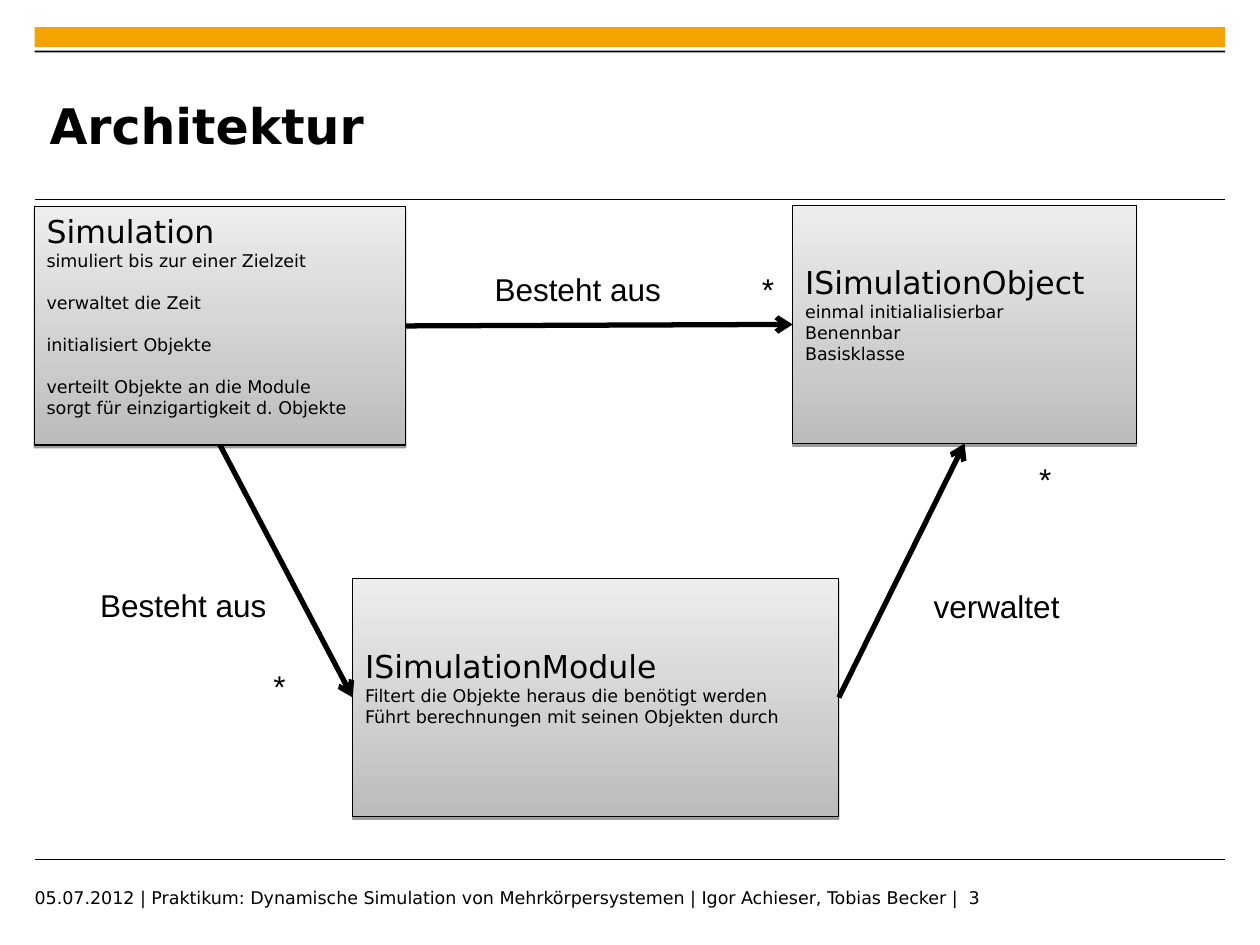
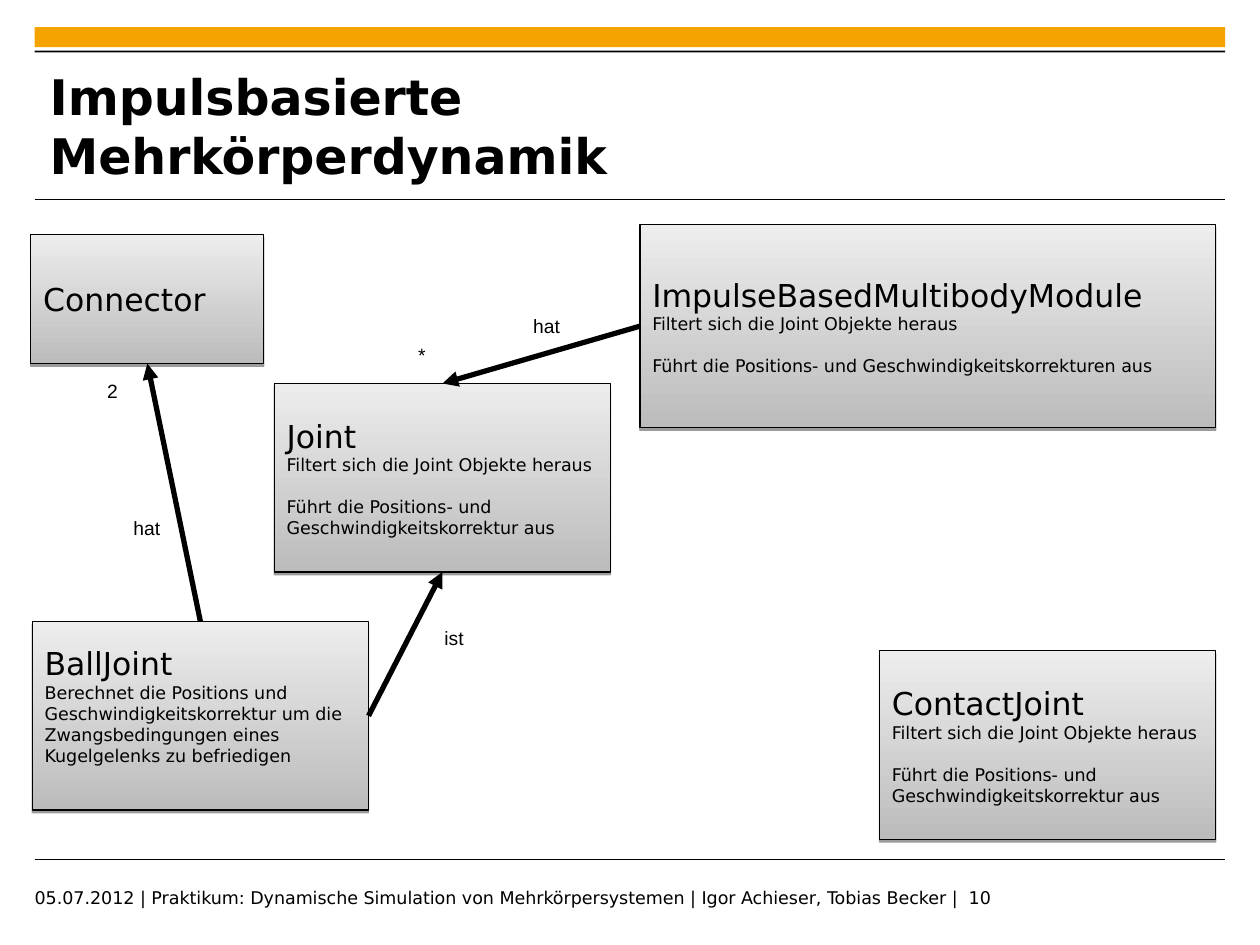
from lxml.etree import SubElement
from pptx import Presentation
from pptx.dml.color import RGBColor
from pptx.enum.shapes import MSO_CONNECTOR as Link, MSO_SHAPE as Preset
from pptx.enum.text import MSO_ANCHOR as Anchor, MSO_AUTO_SIZE as AutoSize, PP_ALIGN as Align
from pptx.oxml.ns import qn
from pptx.util import Cm, Pt

BLACK = RGBColor(0x00, 0x00, 0x00)
ORANGE = RGBColor(0xF5, 0xA3, 0x00)
LIGHT_GREY = RGBColor(0xED, 0xED, 0xED)
MID_GREY = RGBColor(0xBC, 0xBC, 0xBC)
SANS, ARIAL = "DejaVu Sans", "Arial"
TOP, LEFT, BOTTOM, RIGHT = range(4)
MARGIN, BAND_WIDTH = 0.7, 24
BODY_LINE = 12  # points, height of one line of body text

FOOTER = ("05.07.2012 | Praktikum: Dynamische Simulation von Mehrkörpersystemen"
          " | Igor Achieser, Tobias Becker |  {}")

# Joint and ContactJoint carry the same description
JOINT_TASKS = [["Filtert sich die Joint Objekte heraus"],
               ["Führt die Positions- und Geschwindigkeitskorrektur aus"]]

# classes: name -> (left, top, width, height in cm), groups of lines, spare lines below
# relations: from class, side, to class, side
# labels: text, left, top, width in cm
SLIDES = [
    dict(
        title="Architektur", number=3, arrowhead="arrow", label_size=18, label_height=1.02,
        classes={
            "Simulation": ((0.69, 4.17, 7.49, 4.8), [
                ["simuliert bis zur einer Zielzeit"],
                ["verwaltet die Zeit"],
                ["initialisiert Objekte"],
                ["verteilt Objekte an die Module", "sorgt für einzigartigkeit d. Objekte"],
            ], 1),
            "ISimulationObject": ((15.98, 4.14, 6.93, 4.8), [
                ["einmal initialialisierbar", "Benennbar", "Basisklasse"]], 1),
            "ISimulationModule": ((7.11, 11.66, 9.8, 4.8), [
                ["Filtert die Objekte heraus die benötigt werden",
                 "Führt berechnungen mit seinen Objekten durch"]], 1),
        },
        relations=[
            ("Simulation", RIGHT, "ISimulationObject", LEFT),
            ("ISimulationModule", RIGHT, "ISimulationObject", BOTTOM),
            ("Simulation", BOTTOM, "ISimulationModule", LEFT),
        ],
        labels=[
            ("Besteht aus", 9.72, 5.32, 3.9), ("*", 15.11, 5.32, 0.8),
            ("verwaltet", 18.57, 11.71, 3.1), ("*", 20.7, 9.14, 0.8),
            ("Besteht aus", 1.77, 11.68, 3.9), ("*", 5.26, 13.33, 0.8),
        ],
    ),
    dict(
        title="Impulsbasierte Mehrkörperdynamik", number=10, arrowhead="triangle",
        label_size=11, label_height=0.74,
        classes={
            "ImpulseBasedMultibodyModule": ((12.9, 4.53, 11.61, 4.09), [
                ["Filtert sich die Joint Objekte heraus"],
                ["Führt die Positions- und Geschwindigkeitskorrekturen aus"]], 0),
            "Joint": ((5.53, 7.73, 6.78, 3.8), JOINT_TASKS, 0),
            "BallJoint": ((0.65, 12.53, 6.78, 3.8), [
                ["Berechnet die Positions und Geschwindigkeitskorrektur um die "
                 "Zwangsbedingungen eines Kugelgelenks zu befriedigen"]], 1),
            "ContactJoint": ((17.73, 13.12, 6.78, 3.8), JOINT_TASKS, 0),
            "Connector": ((0.62, 4.73, 4.7, 2.6), [], 0),
        },
        relations=[
            ("ImpulseBasedMultibodyModule", LEFT, "Joint", TOP),
            ("BallJoint", TOP, "Connector", BOTTOM),
            ("BallJoint", RIGHT, "Joint", BOTTOM),
        ],
        labels=[
            ("hat", 10.5, 6.21, 1.3), ("*", 8.18, 6.79, 0.8),
            ("hat", 2.44, 10.29, 1.3), ("2", 1.91, 7.52, 0.9),
            ("ist", 8.71, 12.51, 1.1),
        ],
    ),
]


def cm(*lengths):
    return [Cm(length) for length in lengths]


def style(paragraph, size, face=SANS, bold=False):
    paragraph.alignment = Align.LEFT
    for run in paragraph.runs:
        run.font.size, run.font.name, run.font.bold = Pt(size), face, bold
        run.font.color.rgb = BLACK


def no_insets(frame):
    frame.margin_left = frame.margin_top = frame.margin_right = frame.margin_bottom = 0


def add_line(slide, width, x1=0, y1=0, x2=0, y2=0):
    line = slide.shapes.add_connector(Link.STRAIGHT, *cm(x1, y1, x2, y2))
    line.line.color.rgb = BLACK
    line.line.width = Pt(width)
    SubElement(line.element.spPr, qn("a:effectLst"))
    return line


def add_text(slide, text, box, size, face):
    frame = slide.shapes.add_textbox(*cm(*box)).text_frame
    frame.text = text
    frame.word_wrap = True
    style(frame.paragraphs[0], size, face)
    return frame


def add_frame(slide, title, number):
    # Bands and rules
    for top, height, colour in ((0.55, 0.4, ORANGE), (1.02, 0.04, BLACK)):
        band = slide.shapes.add_shape(Preset.RECTANGLE, *cm(MARGIN, top, BAND_WIDTH, height))
        band.shadow.inherit = False
        band.fill.solid()
        band.fill.fore_color.rgb = colour
        band.line.fill.background()
    for y in (4.03, 17.32):
        add_line(slide, 0.6, MARGIN, y, MARGIN + BAND_WIDTH, y)

    # Title
    heading = slide.shapes.title
    heading.left, heading.top, heading.width, heading.height = cm(1, 1.35, 19.1, 2.34)
    frame = heading.text_frame
    frame.text = title
    frame.auto_size = AutoSize.NONE
    frame.vertical_anchor = Anchor.MIDDLE
    no_insets(frame)
    style(frame.paragraphs[0], 28, bold=True)

    # Footer
    no_insets(add_text(slide, FOOTER.format(number), (MARGIN, 17.88, 20, 0.64), 10, SANS))


def add_class(slide, name, box, groups, spare_lines):
    block = slide.shapes.add_shape(Preset.RECTANGLE, *cm(*box))
    block.fill.gradient()
    block.fill.gradient_angle = 90
    for stop, colour in zip(block.fill.gradient_stops, (MID_GREY, LIGHT_GREY)):
        stop.color.rgb = colour
    block.line.color.rgb = BLACK
    block.line.width = Pt(0.75)

    # Shadow edge below the block
    block.shadow.inherit = False
    effects = block.element.spPr.find(qn("a:effectLst"))
    shadow = SubElement(effects, qn("a:outerShdw"), blurRad="0", dist=str(Pt(1.6)),
                        dir="5400000", rotWithShape="0")
    shade = SubElement(shadow, qn("a:srgbClr"), val=str(BLACK))
    SubElement(shade, qn("a:alpha"), val="38000")

    # Name and tasks
    frame = block.text_frame
    frame.word_wrap = True
    frame.vertical_anchor = Anchor.MIDDLE
    frame.margin_bottom = Cm(0.13) + spare_lines * Pt(BODY_LINE)
    frame.text = name
    style(frame.paragraphs[0], 18)
    for group_index, group in enumerate(groups):
        for line_index, task in enumerate(group):
            paragraph = frame.add_paragraph()
            paragraph.text = task
            style(paragraph, 10)
            if group_index and not line_index:
                paragraph.space_before = Pt(BODY_LINE)
    return block


def add_relation(slide, source, source_side, target, target_side, arrowhead):
    arrow = add_line(slide, 3)
    arrow.begin_connect(source, source_side)
    arrow.end_connect(target, target_side)
    SubElement(arrow.element.spPr.find(qn("a:ln")), qn("a:tailEnd"), type=arrowhead)


def main():
    deck = Presentation()
    deck.slide_width, deck.slide_height = cm(25.4, 19.05)
    for content in SLIDES:
        slide = deck.slides.add_slide(deck.slide_layouts[5])
        add_frame(slide, content["title"], content["number"])
        blocks = {name: add_class(slide, name, *details)
                  for name, details in content["classes"].items()}
        for source, source_side, target, target_side in content["relations"]:
            add_relation(slide, blocks[source], source_side,
                         blocks[target], target_side, content["arrowhead"])
        for text, left, top, width in content["labels"]:
            add_text(slide, text, (left, top, width, content["label_height"]),
                     content["label_size"], ARIAL)
    deck.save("out.pptx")


if __name__ == "__main__":
    main()
